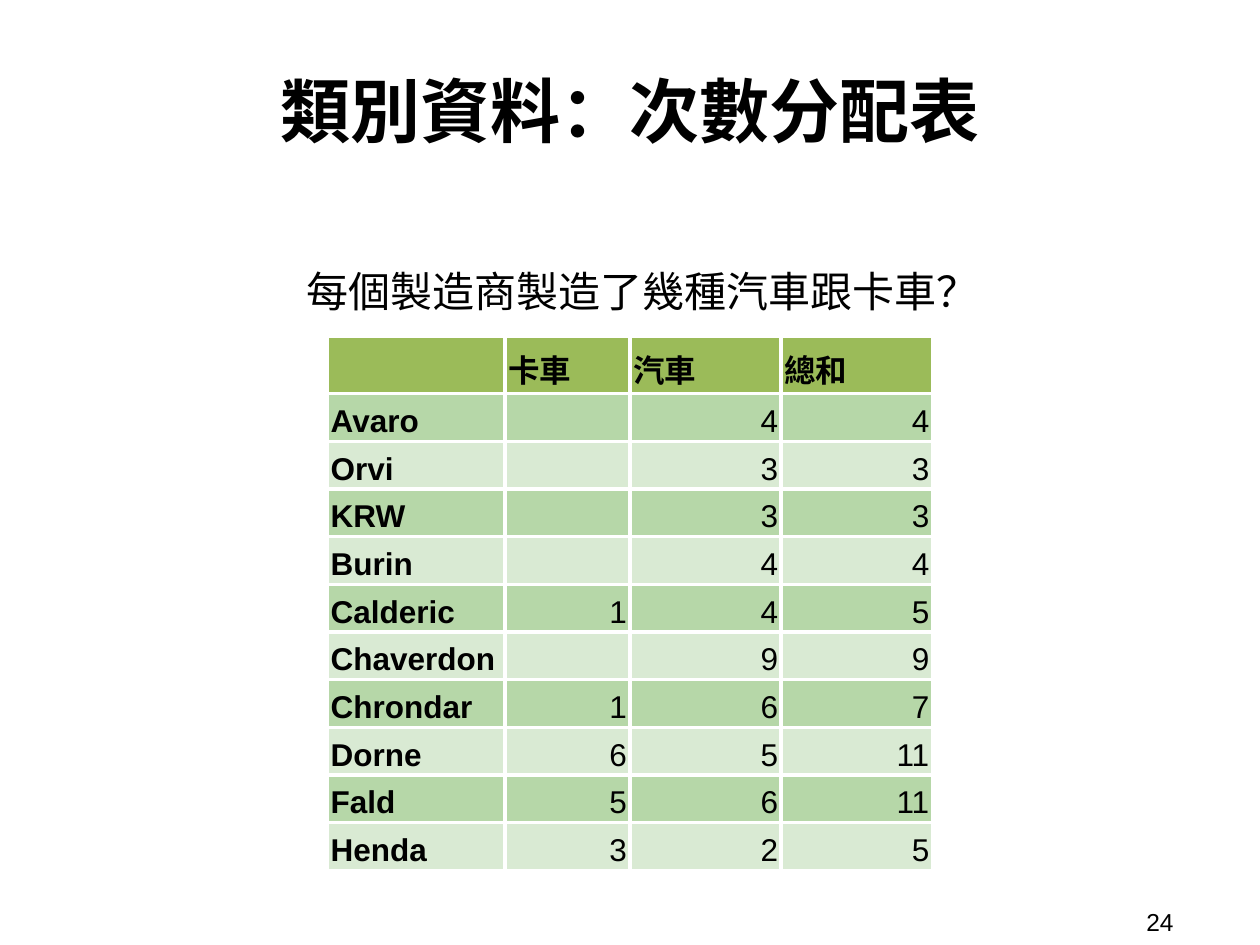
from lxml.etree import SubElement
from pptx import Presentation
from pptx.dml.color import RGBColor
from pptx.enum.text import MSO_ANCHOR as Anchor, PP_ALIGN as Align
from pptx.oxml.ns import qn
from pptx.util import Pt

BLACK = RGBColor(0x00, 0x00, 0x00)
WHITE = RGBColor(0xFF, 0xFF, 0xFF)
HEADER_GREEN = RGBColor(0x9B, 0xBB, 0x59)
BAND_GREENS = (RGBColor(0xB6, 0xD7, 0xA8), RGBColor(0xD9, 0xEA, 0xD3))

LATIN = "Arial"
CHINESE = "Noto Sans CJK TC"

HEADER = ("", "卡車", "汽車", "總和")
COUNTS = (
    ("Avaro", "", "4", "4"),
    ("Orvi", "", "3", "3"),
    ("KRW", "", "3", "3"),
    ("Burin", "", "4", "4"),
    ("Calderic", "1", "4", "5"),
    ("Chaverdon", "", "9", "9"),
    ("Chrondar", "1", "6", "7"),
    ("Dorne", "6", "5", "11"),
    ("Fald", "5", "6", "11"),
    ("Henda", "3", "2", "5"),
)
COLUMN_WIDTHS = (101.5, 71.3, 86.4, 86.4)
HEADER_HEIGHT = 32.8
ROW_HEIGHT = 26.1


def style_paragraph(paragraph, size, font_name, bold=False, align=Align.LEFT):
    paragraph.alignment = align
    for run in paragraph.runs:
        font = run.font
        font.size = Pt(size)
        font.bold = bold
        font.name = font_name
        font.color.rgb = BLACK
        properties = run.font._element
        SubElement(properties, qn("a:ea")).set("typeface", CHINESE)


def add_text(slide, box, text, inset, anchor, **style):
    shape = slide.shapes.add_textbox(*map(Pt, box))
    frame = shape.text_frame
    frame.word_wrap = True
    frame.vertical_anchor = anchor
    frame.margin_left = frame.margin_right = Pt(7.2)
    frame.margin_top = frame.margin_bottom = Pt(inset)
    frame.text = text
    paragraph = frame.paragraphs[0]
    style_paragraph(paragraph, **style)
    return paragraph


def add_title(slide, box):
    add_text(slide, box, "類別資料：次數分配表", 7.2, Anchor.MIDDLE,
             size=40, font_name=CHINESE, bold=True, align=Align.CENTER)


def add_question(slide, box):
    paragraph = add_text(slide, box, "每個製造商製造了幾種汽車跟卡車？", 7.2, Anchor.TOP,
                         size=24, font_name=CHINESE, align=Align.CENTER)
    paragraph.line_spacing = 1.15
    properties = paragraph._p.get_or_add_pPr()
    properties.set("marL", str(Pt(27)))
    properties.set("indent", str(Pt(-13)))


def add_page_number(slide, box):
    add_text(slide, box, "24", 3.6, Anchor.MIDDLE, size=14, font_name=LATIN)


def set_borders(cell):
    properties = cell._tc.get_or_add_tcPr()
    for side in ("a:lnL", "a:lnR", "a:lnT", "a:lnB"):
        line = SubElement(properties, qn(side))
        line.set("w", str(Pt(2.25)))
        fill = SubElement(line, qn("a:solidFill"))
        SubElement(fill, qn("a:srgbClr")).set("val", str(WHITE))


def fill_cell(cell, text, color, bold, align):
    cell.text = text
    cell.vertical_anchor = Anchor.BOTTOM
    cell.margin_left = cell.margin_right = Pt(1.8)
    cell.margin_top = cell.margin_bottom = Pt(1.2)
    paragraph = cell.text_frame.paragraphs[0]
    style_paragraph(paragraph, 18, LATIN, bold, align)
    paragraph.line_spacing = 1.15
    set_borders(cell)
    cell.fill.solid()
    cell.fill.fore_color.rgb = color


def add_frequency_table(slide, left, top):
    rows = (HEADER, *COUNTS)
    heights = [HEADER_HEIGHT] + [ROW_HEIGHT] * len(COUNTS)
    table = slide.shapes.add_table(
        len(rows), len(HEADER), Pt(left), Pt(top),
        Pt(sum(COLUMN_WIDTHS)), Pt(sum(heights))).table
    table.first_row = False
    table.horz_banding = False
    for column, width in zip(table.columns, COLUMN_WIDTHS):
        column.width = Pt(width)
    for row_index, (values, height) in enumerate(zip(rows, heights)):
        table.rows[row_index].height = Pt(height)
        is_header = row_index == 0
        color = HEADER_GREEN if is_header else BAND_GREENS[(row_index - 1) % 2]
        for column_index, text in enumerate(values):
            is_label = is_header or column_index == 0
            fill_cell(table.cell(row_index, column_index), text, color,
                      is_label, Align.LEFT if is_label else Align.RIGHT)


def main():
    presentation = Presentation()
    presentation.slide_width = Pt(720)
    presentation.slide_height = Pt(540)
    slide = presentation.slides.add_slide(presentation.slide_layouts[6])
    add_page_number(slide, (648, 516, 66, 21))
    add_title(slide, (37.5, 13.7, 645, 98))
    add_question(slide, (37.5, 140.4, 645, 370.8))
    add_frequency_table(slide, 187.2, 192.2)
    presentation.save("out.pptx")


if __name__ == "__main__":
    main()
